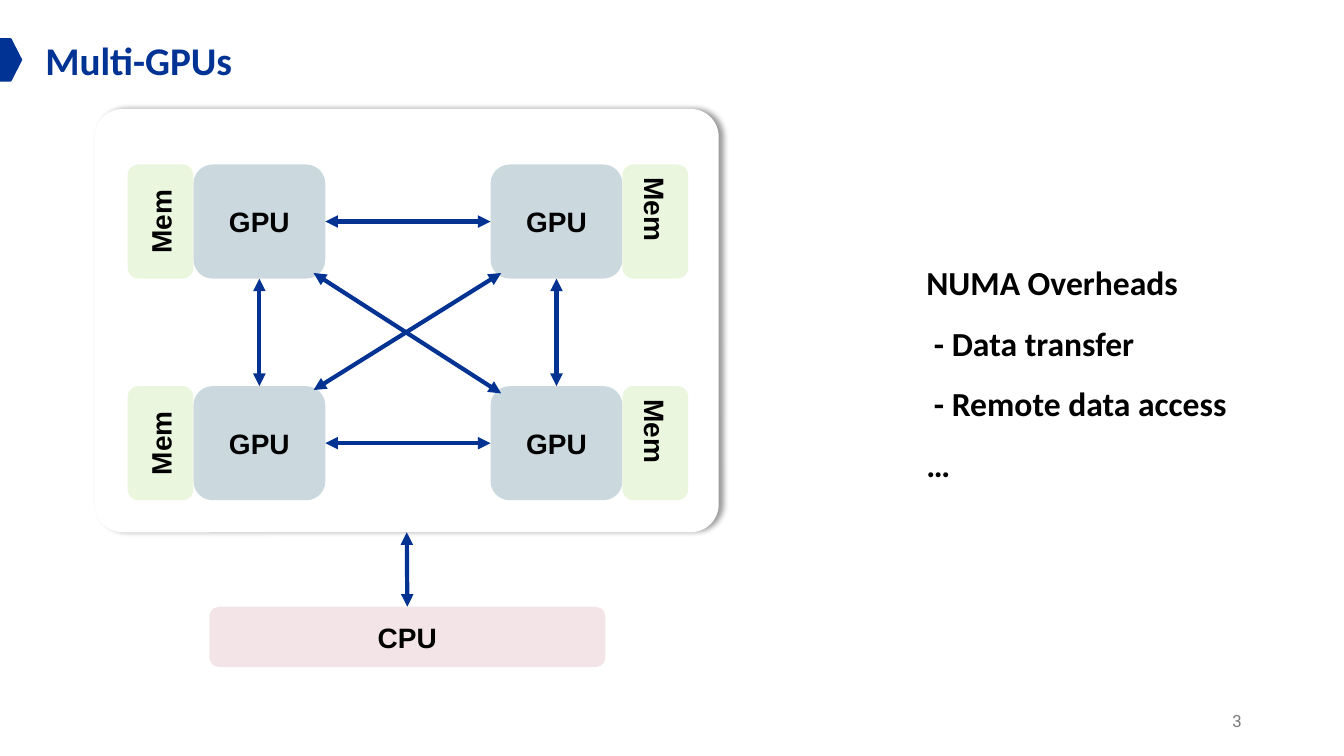
"""Build the Multi-GPUs slide: four linked GPUs, their memories and a CPU."""
from lxml import etree
from pptx import Presentation
from pptx import util as u
from pptx.dml.color import RGBColor
from pptx.enum import shapes, text
from pptx.oxml.ns import qn

BLUE = RGBColor(0x00, 0x33, 0x93)
LINK_BLUE = RGBColor(0x02, 0x33, 0x93)
BLACK = RGBColor(0x00, 0x00, 0x00)
WHITE = RGBColor(0xFF, 0xFF, 0xFF)
GREY = RGBColor(0x79, 0x79, 0x79)
GPU_FILL = RGBColor(0xCB, 0xD9, 0xDF)
MEM_FILL = RGBColor(0xEA, 0xF6, 0xDE)
CPU_FILL = RGBColor(0xF3, 0xE5, 0xE7)

ROUND = shapes.MSO_SHAPE.ROUNDED_RECTANGLE
LEFT, CENTER, RIGHT = text.PP_ALIGN.LEFT, text.PP_ALIGN.CENTER, text.PP_ALIGN.RIGHT
TOP, MIDDLE = text.MSO_ANCHOR.TOP, text.MSO_ANCHOR.MIDDLE


def write(tf, lines, size=20, font="Arial", color=BLACK, bold=True,
          align=CENTER, anchor=MIDDLE, spacing=None, indents=None):
    """Fill a text frame with formatted paragraphs."""
    tf.word_wrap = True
    tf.auto_size = text.MSO_AUTO_SIZE.NONE
    tf.vertical_anchor = anchor
    for i, line in enumerate(lines):
        p = tf.paragraphs[0] if i == 0 else tf.add_paragraph()
        p.alignment = align
        if spacing:
            p.line_spacing = spacing
            p.space_before = u.Pt(0)
        if indents:
            pPr = p._p.get_or_add_pPr()
            pPr.set("marL", str(u.Pt(indents[i])))
            pPr.set("indent", "0")
            etree.SubElement(pPr, qn("a:buNone"))
        r = p.add_run()
        r.text = line
        r.font.size = u.Pt(size)
        r.font.name = font
        r.font.bold = bold
        r.font.color.rgb = color


class Deck:
    """Hold the current slide and draw its elements in one style."""

    def __init__(self, width, height):
        """Start a one-slide presentation."""
        self.prs = Presentation()
        self.prs.slide_width = u.Pt(width)
        self.prs.slide_height = u.Pt(height)
        self.s = self.prs.slides.add_slide(self.prs.slide_layouts[1])

    def placeholder(self, idx, box, lines, **fmt):
        """Move and fill a template placeholder."""
        sp = self.s.placeholders[idx]
        sp.left, sp.top, sp.width, sp.height = map(u.Pt, box)
        write(sp.text_frame, lines, align=LEFT, anchor=TOP, font="Calibri", **fmt)

    def label(self, box, line, **fmt):
        """Add a text box."""
        sp = self.s.shapes.add_textbox(*map(u.Pt, box))
        write(sp.text_frame, [line], **fmt)

    def block(self, kind, box, fill, line=None, vert=None):
        """Add a filled shape, with an optional centred label."""
        sp = self.s.shapes.add_shape(kind, *map(u.Pt, box))
        sp.shadow.inherit = False
        sp.fill.solid()
        sp.fill.fore_color.rgb = fill
        sp.line.fill.background()
        if line:
            write(sp.text_frame, [line])
        if vert:
            sp.text_frame._txBody.bodyPr.set("vert", vert)
        return sp

    def panel(self, box, radius):
        """Add a white rounded panel with a soft shadow."""
        sp = self.block(ROUND, box, WHITE)
        sp.adjustments[0] = radius
        effects = sp._element.spPr.find(qn("a:effectLst"))
        shadow = etree.SubElement(effects, qn("a:outerShdw"), blurRad=str(u.Pt(4)),
                                  dist=str(u.Pt(3)), dir="0", algn="l", rotWithShape="0")
        color = etree.SubElement(shadow, qn("a:srgbClr"), val=str(BLACK))
        etree.SubElement(color, qn("a:alpha"), val="40000")
        return sp

    def arrow(self, x1=0, y1=0, x2=0, y2=0):
        """Add a double-headed arrow."""
        c = self.s.shapes.add_connector(shapes.MSO_CONNECTOR.STRAIGHT,
                                        *map(u.Pt, (x1, y1, x2, y2)))
        c.line.color.rgb = LINK_BLUE
        c.line.width = u.Pt(3)
        for end in ("headEnd", "tailEnd"):
            etree.SubElement(c.line._get_or_add_ln(), qn("a:" + end), type="triangle")
        etree.SubElement(c._element.spPr, qn("a:effectLst"))
        return c

    def join(self, a, a_side, b, b_side):
        """Link the sides of two shapes with an arrow."""
        c = self.arrow()
        c.begin_connect(a, a_side)
        c.end_connect(b, b_side)


def main():
    """Draw the slide and save it."""
    deck = Deck(960, 540)
    deck.placeholder(0, (25.2, 22.3, 904.3, 41), ["Multi-GPUs"], size=28, color=BLUE)
    tab = deck.block(shapes.MSO_SHAPE.PENTAGON, (0, 28, 15.1, 29.5), BLUE)
    tab.line.color.rgb = BLUE
    tab.line.width = u.Pt(1.5)
    deck.label((678.2, 500.4, 216, 28.8), "3", size=12, font="Roboto",
               color=GREY, bold=False, align=RIGHT)

    panel = deck.panel((67.7, 77.8, 445.7, 302.4), 0.066)
    gpu_w, gpu_h, mem_w = 94.2, 81.5, 47
    columns, rows = (138.2, 350.4), (117.5, 275.8)
    gpus = [[deck.block(ROUND, (x, y, gpu_w, gpu_h), GPU_FILL, "GPU")
             for x in columns] for y in rows]
    for y in rows:
        for x, vert in ((columns[0] - mem_w, "vert270"), (columns[1] + gpu_w, "eaVert")):
            deck.block(ROUND, (x, y, mem_w, gpu_h), MEM_FILL, "Mem", vert)

    for i in range(2):
        deck.join(gpus[i][0], 3, gpus[i][1], 1)
        deck.join(gpus[0][i], 2, gpus[1][i], 0)
    deck.arrow(224, 195, 358, 281)
    deck.arrow(224, 278.6, 358, 195)

    cpu = deck.block(ROUND, (149.5, 433.4, 283, 43.2), CPU_FILL, "CPU")
    deck.join(panel, 2, cpu, 0)

    deck.placeholder(1, (654.5, 169.2, 265.7, 177),
                     ["NUMA Overheads", "- Data transfer", "- Remote data access", "…"],
                     size=24, spacing=1.5, indents=(0, 5.4, 5.4, 0))
    deck.prs.save("out.pptx")


if __name__ == "__main__":
    main()
